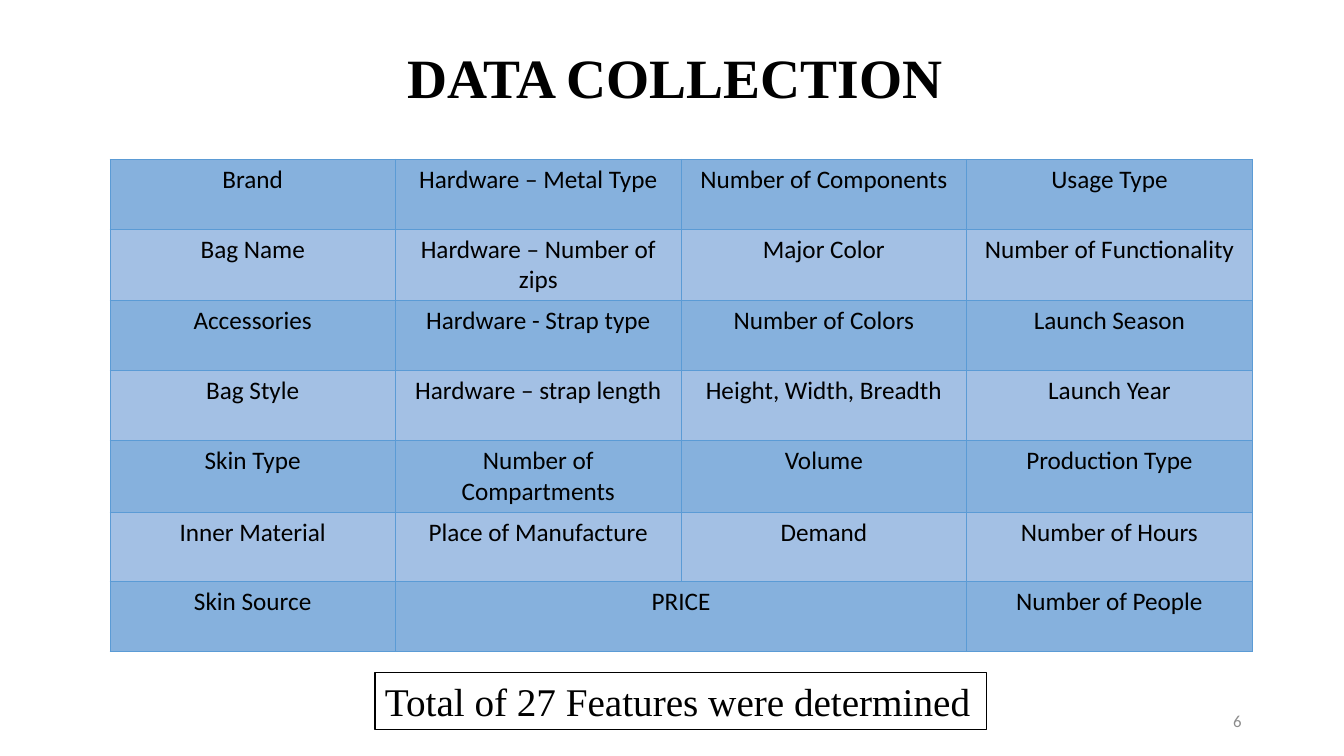
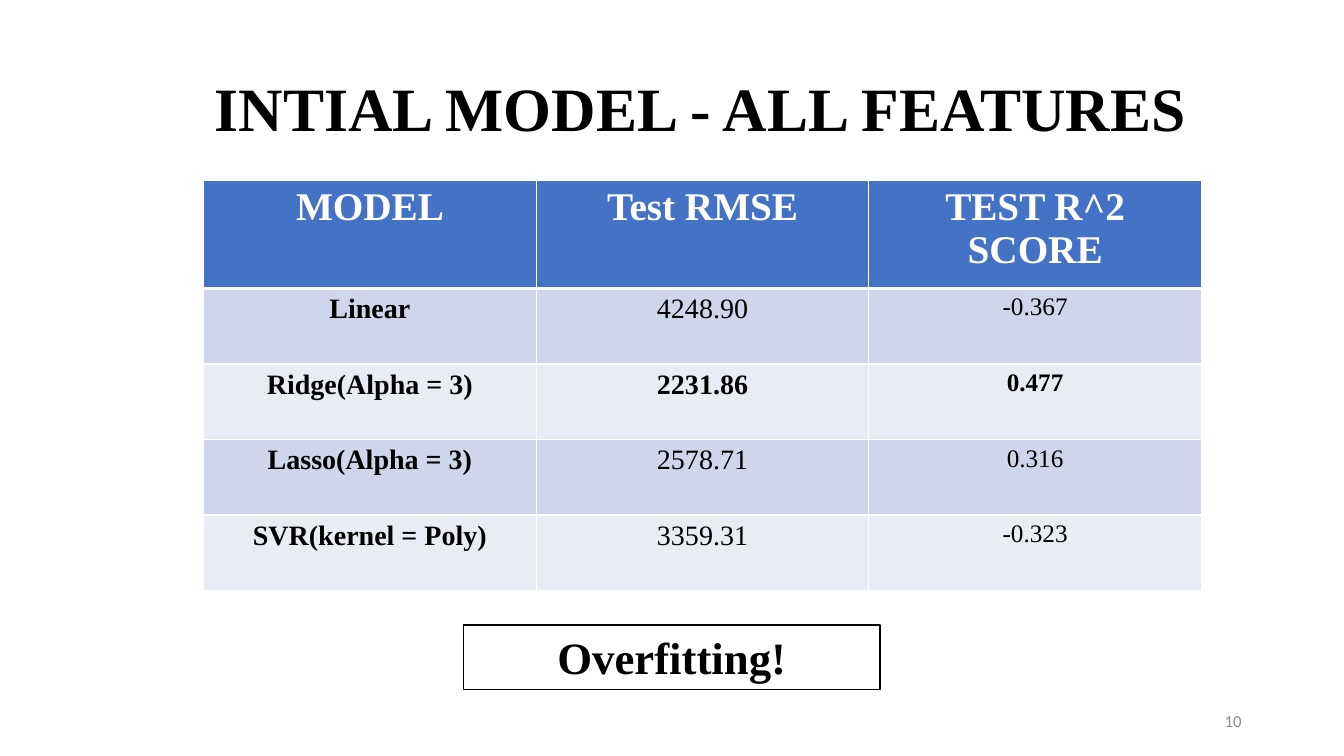
"""Build two slides on the bag price data and the first models."""
from lxml import etree
from pptx import Presentation
from pptx.dml.color import RGBColor
from pptx.enum.text import MSO_ANCHOR, MSO_AUTO_SIZE, PP_ALIGN
from pptx.oxml.ns import qn
from pptx.util import Inches, Pt

LEFT, CENTER, RIGHT = PP_ALIGN.LEFT, PP_ALIGN.CENTER, PP_ALIGN.RIGHT
TOP, MIDDLE = MSO_ANCHOR.TOP, MSO_ANCHOR.MIDDLE
NO_FIT = MSO_AUTO_SIZE.NONE

SLIDE_W, SLIDE_H = Inches(13.333), Inches(7.5)
TITLE_ONLY = 5
SERIF, SANS = "Times New Roman", "Calibri"
BLACK, WHITE, GREY = "000000", "FFFFFF", "8C8C8C"
FEATURE_BANDS, FEATURE_LINE = ("86B1DD", "A3C0E4"), "5B9BD5"
SCORE_BANDS, SCORE_HEADER = ("CFD5EA", "E9EBF5"), "4472C4"
NUMBER_AREA = (70.63, 92.67, 22.5, 5.33)

FEATURES = [
    ["Brand", "Hardware – Metal Type", "Number of Components", "Usage Type"],
    ["Bag Name", "Hardware – Number of zips", "Major Color", "Number of Functionality"],
    ["Accessories", "Hardware - Strap type", "Number of Colors", "Launch Season"],
    ["Bag Style", "Hardware – strap length", "Height, Width, Breadth", "Launch Year"],
    ["Skin Type", "Number of Compartments", "Volume", "Production Type"],
    ["Inner Material", "Place of Manufacture", "Demand", "Number of Hours"],
    ["Skin Source", "PRICE", "", "Number of People"],
]
SCORES = [
    ["MODEL", "Test RMSE", "TEST R^2 SCORE"],
    ["Linear", "4248.90", "-0.367"],
    ["Ridge(Alpha = 3)", "2231.86", "0.477"],
    ["Lasso(Alpha = 3)", "2578.71", "0.316"],
    ["SVR(kernel = Poly)", "3359.31", "-0.323"],
]
BEST_MODEL = 2


def rgb(value):
    """Turn a hex string into a colour."""
    return RGBColor.from_string(value)


def area(left, top, width, height):
    """Turn percentages of the slide into a position and a size."""
    return (int(SLIDE_W * left / 100), int(SLIDE_H * top / 100),
            int(SLIDE_W * width / 100), int(SLIDE_H * height / 100))


def write(frame, text, size, font=SERIF, color=BLACK, bold=False, align=CENTER):
    """Write one formatted paragraph into a text frame."""
    frame.text = text
    paragraph = frame.paragraphs[0]
    paragraph.alignment = align
    for run in paragraph.runs:
        run.font.name, run.font.size, run.font.bold = font, Pt(size), bold
        run.font.color.rgb = rgb(color)
    return paragraph


def add_title(slide, text, place, size, indent=0):
    """Place and format the title, with an indent in percent of the width."""
    title = slide.shapes.title
    title.left, title.top, title.width, title.height = area(*place)
    frame = title.text_frame
    frame.auto_size, frame.word_wrap = NO_FIT, True
    frame.vertical_anchor = MIDDLE
    paragraph = write(frame, text, size, bold=True, align=LEFT)
    paragraph.line_spacing = 0.9
    paragraph._p.get_or_add_pPr().set("marL", str(int(SLIDE_W * indent / 100)))


def add_text(slide, text, place, size, anchor=TOP, **style):
    """Add a wrapping text box."""
    box = slide.shapes.add_textbox(*area(*place))
    box.text_frame.word_wrap = True
    box.text_frame.vertical_anchor = anchor
    write(box.text_frame, text, size, **style)
    return box


def add_conclusion(slide, text, place, size, **style):
    """Add a framed conclusion below the table."""
    conclusion = add_text(slide, text, place, size, **style)
    conclusion.line.color.rgb = rgb(BLACK)
    conclusion.line.width = Pt(0.75)


def add_number(slide, number):
    """Add the slide number at the lower right."""
    add_text(slide, number, NUMBER_AREA, 12, MIDDLE, font=SANS, color=GREY, align=RIGHT)


def set_borders(cell, color, widths):
    """Draw the left, right, top and bottom borders of a cell."""
    properties = cell._tc.get_or_add_tcPr()
    for side, width in zip("LRTB", widths):
        border = etree.SubElement(properties, qn(f"a:ln{side}"), w=str(Pt(width)))
        fill = etree.SubElement(border, qn("a:solidFill"))
        etree.SubElement(fill, qn("a:srgbClr"), val=color)


def add_grid(slide, rows, place, weights, cell_look):
    """Add a table whose cells are formatted by cell_look(row, column)."""
    left, top, width, height = area(*place)
    table = slide.shapes.add_table(len(rows), len(rows[0]), left, top, width, height).table
    table.first_row = table.horz_banding = False
    for row, weight in zip(table.rows, weights):
        row.height = int(height * weight / sum(weights))
    for r, texts in enumerate(rows):
        for c, text in enumerate(texts):
            cell = table.cell(r, c)
            fill, line, widths, style = cell_look(r, c)
            set_borders(cell, line, widths)
            cell.fill.solid()
            cell.fill.fore_color.rgb = rgb(fill)
            write(cell.text_frame, text, **style)
    return table


def feature_look(row, column):
    """Give the fill, borders and text style of a feature cell."""
    return FEATURE_BANDS[row % 2], FEATURE_LINE, [0.5] * 4, {"size": 18, "font": SANS}


def score_look(row, column):
    """Give the fill, borders and text style of a score cell."""
    if row == 0:
        return SCORE_HEADER, WHITE, [1, 1, 1, 3], {"size": 28, "color": WHITE, "bold": True}
    style = {"size": 18 if column == 2 else 20, "bold": column == 0 or row == BEST_MODEL}
    return SCORE_BANDS[(row - 1) % 2], WHITE, [1, 1, 3 if row == 1 else 1, 1], style


def build_data_collection(slide):
    """Build the slide that lists the collected features."""
    add_title(slide, "DATA COLLECTION", (29.55, 4.8, 42.15, 11.73), 39.6)
    features = add_grid(slide, FEATURES, (8.18, 21.07, 85, 64.67),
                        [1] * len(FEATURES), feature_look)
    features.cell(6, 1).merge(features.cell(6, 2))
    add_number(slide, "6")
    add_conclusion(slide, "Total of 27 Features were determined",
                   (27.9, 88.93, 45.53, 7.6), 28, align=LEFT)


def build_initial_model(slide):
    """Build the slide that compares the first models."""
    add_title(slide, "INTIAL MODEL - ALL FEATURES", (7.73, 4, 84.53, 21.6), 44, indent=7.5)
    add_number(slide, "10")
    add_grid(slide, SCORES, (15.15, 23.87, 74.25, 54.27), [10, 7, 7, 7, 7], score_look)
    add_conclusion(slide, "Overfitting!", (34.5, 82.67, 30.98, 8.53), 32, bold=True)


def main():
    """Build and save the presentation."""
    deck = Presentation()
    deck.slide_width, deck.slide_height = SLIDE_W, SLIDE_H
    for build in (build_data_collection, build_initial_model):
        build(deck.slides.add_slide(deck.slide_layouts[TITLE_ONLY]))
    deck.save("out.pptx")


if __name__ == "__main__":
    main()
